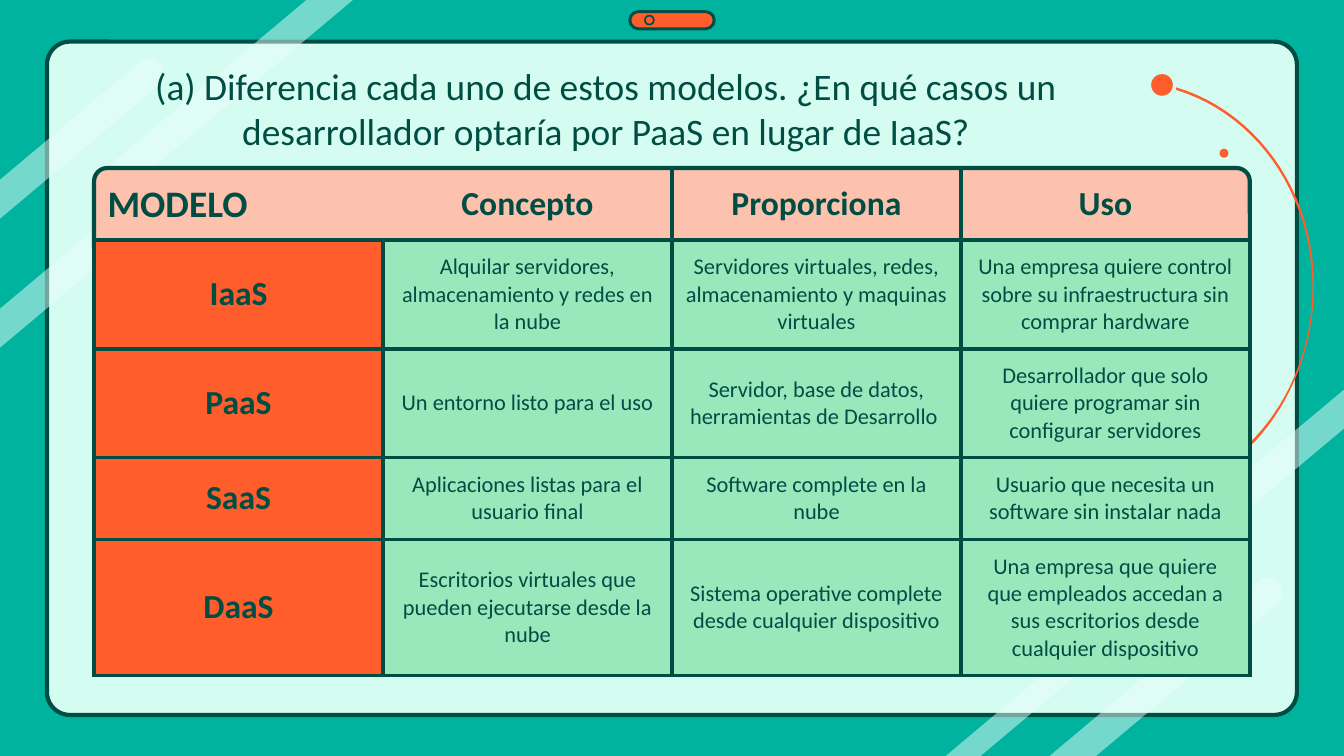
import math
from dataclasses import dataclass

import lxml.etree
import pptx
import pptx.dml.color
import pptx.enum.shapes
import pptx.enum.text
import pptx.oxml.ns
import pptx.util

Pt = pptx.util.Pt
Preset = pptx.enum.shapes.MSO_SHAPE
Anchor = pptx.enum.text.MSO_ANCHOR
Align = pptx.enum.text.PP_ALIGN
Point = tuple[float, float]


@dataclass(frozen=True)
class Theme:
    font: str = "Calibri"
    background: str = "00B39E"
    panel: str = "D5FCF1"
    ink: str = "004D44"
    stripe: str = "E9FFFB"
    accent: str = "FF5D2B"
    header: str = "FDC2AE"
    body: str = "99E8BC"
    title_size: float = 20
    label_size: float = 18
    body_size: float = 12
    border: float = 2.25
    inset: float = 7.2


@dataclass(frozen=True)
class Stripe:
    cap: Point
    radius: float
    direction: int
    axis: int
    edge: float


@dataclass(frozen=True)
class Outline:
    preset: Preset
    left: float
    top: float
    width: float
    height: float
    fill: str
    line_width: float = 0
    adjustments: tuple[float, ...] = ()


THEME = Theme()
WIDTH, HEIGHT = 720, 405
STRIPE_ANGLE = math.radians(40)

PANEL = Outline(Preset.ROUNDED_RECTANGLE, 25.2, 22.3, 669.6, 360.7, THEME.panel, THEME.border, (0.034,))
STRIPES = [
    Stripe((679, 317.5), 8, -1, 1, HEIGHT),
    Stripe((597, 337), 6, -1, 1, HEIGHT),
    Stripe((67.7, 91.4), 8, 1, 1, 0),
    Stripe((80, 39.6), 8, -1, 0, 0),
    Stripe((80, 108.7), 8, -1, 0, 0),
    Stripe((638, 288), 8, 1, 0, WIDTH),
]
ORNAMENTS = [
    Outline(Preset.ROUNDED_RECTANGLE, 337.4, 6.2, 45.2, 9.2, THEME.accent, 1.6, (0.5,)),
    Outline(Preset.OVAL, 345.5, 8.4, 4.8, 4.8, THEME.accent, 0.9),
    Outline(Preset.OVAL, 653.3, 79.7, 4.8, 4.8, THEME.accent),
    Outline(Preset.OVAL, 616.7, 39.7, 11.6, 11.6, THEME.accent),
]
HEADER = Outline(Preset.ROUND_2_SAME_RECTANGLE, 50.4, 90, 619.2, 42.5, THEME.header, THEME.border, (0.167, 0))
ARC_OUTER = [
    ((630, 46.8), (676, 60.5), (708.5, 108.7), (703.4, 164.2)),
    ((703.4, 164.2), (700.6, 196.6), (686.2, 224.6), (665.3, 243.4)),
]
ARC_INNER = [
    ((663.8, 242.6), (685.4, 223.9), (699.8, 196.6), (702.7, 164.2)),
    ((702.7, 164.2), (707, 109.4), (675.4, 61.9), (630, 48.2)),
]

TITLE = "(a) Diferencia cada uno de estos modelos. ¿En qué casos un desarrollador optaría por PaaS en lugar de IaaS?"
ROW_HEIGHTS = [38.6, 58.3, 58.3, 43.8, 73]
ROWS = [
    ["MODELO", "Concepto", "Proporciona", "Uso"],
    ["IaaS", "Alquilar servidores, almacenamiento y redes en la nube",
     "Servidores virtuales, redes, almacenamiento y maquinas virtuales",
     "Una empresa quiere control sobre su infraestructura sin comprar hardware"],
    ["PaaS", "Un entorno listo para el uso",
     "Servidor, base de datos, herramientas de Desarrollo ",
     "Desarrollador que solo quiere programar sin configurar servidores"],
    ["SaaS", "Aplicaciones listas para el usuario final",
     "Software complete en la nube",
     "Usuario que necesita un software sin instalar nada"],
    ["DaaS", "Escritorios virtuales que pueden ejecutarse desde la nube",
     "Sistema operative complete desde cualquier dispositivo",
     "Una empresa que quiere que empleados accedan a sus escritorios desde cualquier dispositivo"],
]
HEADER_SIDES = ["B", "RB", "LRB", "LB"]


def color(value: str) -> pptx.dml.color.RGBColor:
    return pptx.dml.color.RGBColor.from_string(value)


def add_element(parent, tag: str, **attributes: str):
    return lxml.etree.SubElement(parent, pptx.oxml.ns.qn(tag), **attributes)


def paint(shape, fill: str, line_width: float = 0) -> None:
    shape.shadow.inherit = False
    shape.fill.solid()
    shape.fill.fore_color.rgb = color(fill)
    if line_width:
        shape.line.color.rgb = color(THEME.ink)
        shape.line.width = Pt(line_width)
    else:
        shape.line.fill.background()


def draw_outline(page, outline: Outline) -> None:
    shape = page.shapes.add_shape(
        outline.preset, Pt(outline.left), Pt(outline.top), Pt(outline.width), Pt(outline.height))
    for index, value in enumerate(outline.adjustments):
        shape.adjustments[index] = value
    paint(shape, outline.fill, outline.line_width)


def draw_polygon(page, points: list[Point], fill: str):
    start, *rest = [(Pt(x), Pt(y)) for x, y in points]
    builder = page.shapes.build_freeform(*start)
    builder.add_line_segments(rest, close=True)
    shape = builder.convert_to_shape()
    paint(shape, fill)
    return shape


def draw_stripe(page, stripe: Stripe) -> None:
    along = (stripe.direction * math.cos(STRIPE_ANGLE), -stripe.direction * math.sin(STRIPE_ANGLE))
    across = (math.sin(STRIPE_ANGLE), math.cos(STRIPE_ANGLE))

    def cap_point(turn: float) -> Point:
        x, y = (middle + stripe.radius * (side * math.cos(turn) - ahead * math.sin(turn))
                for middle, side, ahead in zip(stripe.cap, across, along))
        return x, y

    def reach_edge(point: Point) -> Point:
        distance = (stripe.edge - point[stripe.axis]) / along[stripe.axis]
        return point[0] + distance * along[0], point[1] + distance * along[1]

    cap = [cap_point(math.pi * step / 16) for step in range(17)]
    shape = draw_polygon(page, [*cap, reach_edge(cap[-1]), reach_edge(cap[0])], THEME.stripe)
    add_element(shape.fill._xPr.find(".//" + pptx.oxml.ns.qn("a:srgbClr")), "a:alpha", val="50000")


def curve_points(curve: tuple[Point, ...], steps: int = 24) -> list[Point]:
    points = []
    for step in range(steps + 1):
        t = step / steps
        weights = [math.comb(3, k) * t ** k * (1 - t) ** (3 - k) for k in range(4)]
        x, y = (sum(w * p[axis] for w, p in zip(weights, curve)) for axis in (0, 1))
        points.append((x, y))
    return points


def write_text(frame, text: str, size: float, bold: bool, alignment: Align) -> None:
    para = frame.paragraphs[0]
    para.alignment = alignment
    span = para.add_run()
    span.text = text
    span.font.name = THEME.font
    span.font.size = Pt(size)
    span.font.bold = bold
    span.font.color.rgb = color(THEME.ink)


def set_insets(target) -> None:
    target.margin_left = target.margin_right = Pt(THEME.inset)
    target.margin_top = target.margin_bottom = Pt(THEME.inset)


def set_borders(cell, sides: str) -> None:
    properties = cell._tc.get_or_add_tcPr()
    for side in "LRTB":
        line = add_element(properties, "a:ln" + side, w=str(Pt(THEME.border)))
        if side in sides:
            fill = add_element(line, "a:solidFill")
            add_element(fill, "a:srgbClr", val=THEME.ink)
        else:
            add_element(line, "a:noFill")


def draw_title(page) -> None:
    box = page.shapes.add_textbox(Pt(21.6), Pt(26.6), Pt(606.2), Pt(63.4))
    box.text_frame.word_wrap = True
    set_insets(box.text_frame)
    write_text(box.text_frame, TITLE, THEME.title_size, False, Align.CENTER)


def draw_table(page) -> None:
    table = page.shapes.add_table(
        len(ROWS), len(ROWS[0]), Pt(HEADER.left), Pt(HEADER.top), Pt(HEADER.width), Pt(sum(ROW_HEIGHTS))).table
    table.first_row = table.horz_banding = False
    for row, height in zip(table.rows, ROW_HEIGHTS):
        row.height = Pt(height)
    for r, texts in enumerate(ROWS):
        for c, text in enumerate(texts):
            cell = table.cell(r, c)
            corner, label = r == c == 0, r == 0 or c == 0
            size = THEME.title_size if corner else THEME.label_size if label else THEME.body_size
            set_insets(cell)
            cell.vertical_anchor = Anchor.TOP if corner else Anchor.MIDDLE
            write_text(cell.text_frame, text, size, label, Align.LEFT if corner else Align.CENTER)
            set_borders(cell, "LRTB" if r else HEADER_SIDES[c])
            if r:
                cell.fill.solid()
                cell.fill.fore_color.rgb = color(THEME.body if c else THEME.accent)
            else:
                cell.fill.background()


def main() -> None:
    deck = pptx.Presentation()
    deck.slide_width, deck.slide_height = Pt(WIDTH), Pt(HEIGHT)
    page = deck.slides.add_slide(deck.slide_layouts[6])
    page.background.fill.solid()
    page.background.fill.fore_color.rgb = color(THEME.background)
    draw_outline(page, PANEL)
    for stripe in STRIPES:
        draw_stripe(page, stripe)
    for ornament in ORNAMENTS:
        draw_outline(page, ornament)
    arc = [point for curve in ARC_OUTER + ARC_INNER for point in curve_points(curve)]
    draw_polygon(page, arc, THEME.accent)
    draw_outline(page, HEADER)
    draw_title(page)
    draw_table(page)
    deck.save("out.pptx")


if __name__ == "__main__":
    main()
